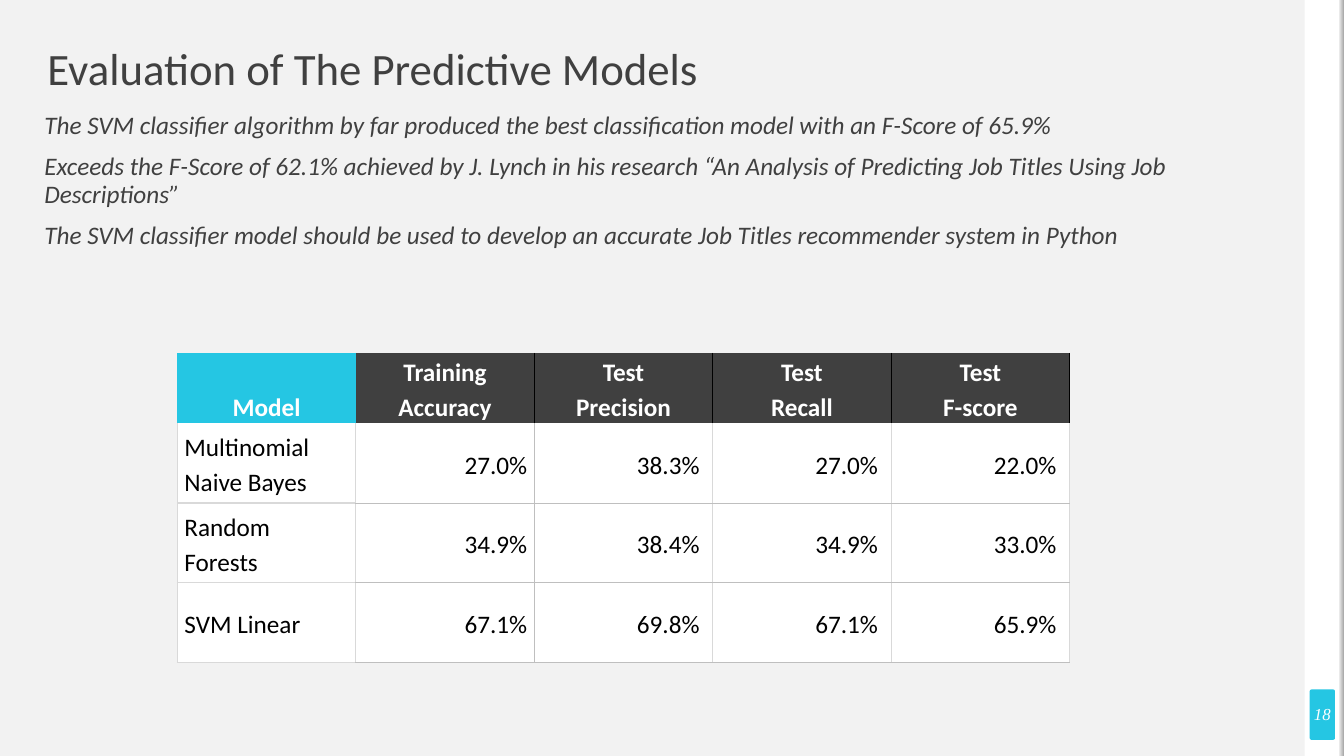
from lxml.etree import SubElement
from pptx import Presentation
from pptx.dml.color import RGBColor
from pptx.enum.shapes import MSO_SHAPE
from pptx.enum.text import MSO_ANCHOR, PP_ALIGN
from pptx.oxml.ns import qn
from pptx.util import Inches, Pt

WHITE = RGBColor(0xFF, 0xFF, 0xFF)
BLACK = RGBColor(0x00, 0x00, 0x00)
CYAN = RGBColor(0x25, 0xC6, 0xE3)
DARK = RGBColor(0x40, 0x40, 0x40)
PALE = RGBColor(0xF2, 0xF2, 0xF2)
SHADE = RGBColor(0xA6, 0xA6, 0xA6)
LIGHT_LINE = RGBColor(0xD9, 0xD9, 0xD9)
GREY_LINE = RGBColor(0xBF, 0xBF, 0xBF)
NO_STYLE = "{2D5ABB26-0587-4C30-8999-92F81FD0307C}"

TITLE = "Evaluation of The Predictive Models"
FINDINGS = [
    "The SVM classifier algorithm by far produced the best classification model with an F-Score of 65.9%",
    "Exceeds the F-Score of 62.1% achieved by J. Lynch in his research “An Analysis of Predicting Job Titles Using Job Descriptions”",
    "The SVM classifier model should be used to develop an accurate Job Titles recommender system in Python",
]
SCORES = [
    ["Model", "Training Accuracy", "Test\nPrecision", "Test\nRecall", "Test\nF-score"],
    ["Multinomial Naive Bayes", "27.0%", "38.3%", "27.0%", "22.0%"],
    ["Random Forests", "34.9%", "38.4%", "34.9%", "33.0%"],
    ["SVM Linear", "67.1%", "69.8%", "67.1%", "65.9%"],
]
ROW_HEIGHTS = [0.7, 0.79, 0.79, 0.79]
COLUMN_WIDTH = 1.77
THIN_EDGE = (GREY_LINE, 0.25)
LIGHT_EDGE = (LIGHT_LINE, 1)
BLACK_EDGE = (BLACK, 1)


def style_paragraph(p, size, color, font="Calibri", bold=False, italic=False,
                    align=PP_ALIGN.LEFT, line_spacing=1.0, space_before=0):
    p.font.name = font
    p.font.size = Pt(size)
    p.font.color.rgb = color
    p.font.bold = bold
    p.font.italic = italic
    p.alignment = align
    p.line_spacing = line_spacing
    p.space_before = Pt(space_before)


def add_text(s, box, lines, anchor=MSO_ANCHOR.TOP, **style):
    tf = s.shapes.add_textbox(*map(Inches, box)).text_frame
    tf.word_wrap = True
    tf.vertical_anchor = anchor
    tf.margin_left = tf.margin_right = tf.margin_top = tf.margin_bottom = 0
    tf.text = "\n".join(lines)
    for p in tf.paragraphs:
        style_paragraph(p, **style)


def add_panel(s, box, color, kind=MSO_SHAPE.RECTANGLE):
    sp = s.shapes.add_shape(kind, *map(Inches, box))
    sp.shadow.inherit = False
    sp.fill.solid()
    sp.fill.fore_color.rgb = color
    sp.line.fill.background()
    return sp


def add_sidebar(s):
    add_panel(s, (12.94, 0, 0.39, 7.5), WHITE)
    badge = add_panel(s, (12.99, 6.84, 0.25, 0.5), CYAN, MSO_SHAPE.ROUNDED_RECTANGLE)
    badge.adjustments[0] = 0.07
    edge = add_panel(s, (13.28, 0, 0.05, 7.5), WHITE)
    edge.fill.gradient()
    edge.fill.gradient_angle = 0
    for stop, color in zip(edge.fill.gradient_stops, (PALE, SHADE)):
        stop.color.rgb = color
    add_text(s, (12.86, 6.86, 0.51, 0.44), ["18"], MSO_ANCHOR.MIDDLE, size=12, color=WHITE,
             font="Times New Roman", italic=True, align=PP_ALIGN.CENTER)


def set_borders(cell, edges):
    tcPr = cell._tc.get_or_add_tcPr()
    for side in "LRTB":
        if side in edges:
            color, width = edges[side]
            ln = SubElement(tcPr, qn(f"a:ln{side}"), w=str(Pt(width)))
            fill = SubElement(ln, qn("a:solidFill"))
            SubElement(fill, qn("a:srgbClr"), val=str(color))


def cell_edges(row, col):
    if row == 0:
        edges = {"R": BLACK_EDGE} if col else {}
        return {**edges, "L": BLACK_EDGE} if col > 1 else edges
    if col == 0:
        edges = dict.fromkeys("LRTB", LIGHT_EDGE)
    else:
        edges = {
            "L": THIN_EDGE if col == 2 else LIGHT_EDGE,
            "R": THIN_EDGE if col == 1 else LIGHT_EDGE,
            "T": THIN_EDGE,
            "B": THIN_EDGE,
        }
    if row == 1:
        del edges["T"]
    return edges


def fill_cell(cell, text, row, col):
    header = row == 0
    set_borders(cell, cell_edges(row, col))
    cell.fill.solid()
    cell.fill.fore_color.rgb = (DARK if col else CYAN) if header else WHITE
    cell.margin_top = cell.margin_bottom = 0
    cell.margin_left = Inches(0.07)
    cell.margin_right = Inches(0.13 if row and col > 1 else 0.07)
    cell.vertical_anchor = MSO_ANCHOR.BOTTOM if header else MSO_ANCHOR.MIDDLE
    cell.text = text
    align = PP_ALIGN.CENTER if header else PP_ALIGN.RIGHT if col else PP_ALIGN.LEFT
    for p in cell.text_frame.paragraphs:
        style_paragraph(p, 18, WHITE if header else BLACK, bold=header,
                        align=align, line_spacing=1.15)


def add_score_table(s, left, top):
    columns = len(SCORES[0])
    frame = s.shapes.add_table(len(SCORES), columns, Inches(left), Inches(top),
                               Inches(COLUMN_WIDTH * columns), Inches(sum(ROW_HEIGHTS)))
    table = frame.table
    table.first_row = table.horz_banding = False
    table._tbl.tblPr.find(qn("a:tableStyleId")).text = NO_STYLE
    for column in table.columns:
        column.width = Inches(COLUMN_WIDTH)
    for i, (height, values) in enumerate(zip(ROW_HEIGHTS, SCORES)):
        table.rows[i].height = Inches(height)
        for j, value in enumerate(values):
            fill_cell(table.cell(i, j), value, i, j)


def main():
    prs = Presentation()
    prs.slide_width = Inches(13.33)
    prs.slide_height = Inches(7.5)
    s = prs.slides.add_slide(prs.slide_layouts[6])
    s.background.fill.solid()
    s.background.fill.fore_color.rgb = PALE
    add_sidebar(s)
    add_text(s, (0.47, 0.47, 12.39, 0.47), [TITLE], MSO_ANCHOR.MIDDLE,
             size=32, color=DARK, line_spacing=0.9)
    add_text(s, (0.44, 1.12, 11.6, 1.56), FINDINGS, size=18, color=DARK, italic=True,
             line_spacing=0.9, space_before=10)
    add_score_table(s, 1.76, 3.5)
    prs.save("out.pptx")


if __name__ == "__main__":
    main()
